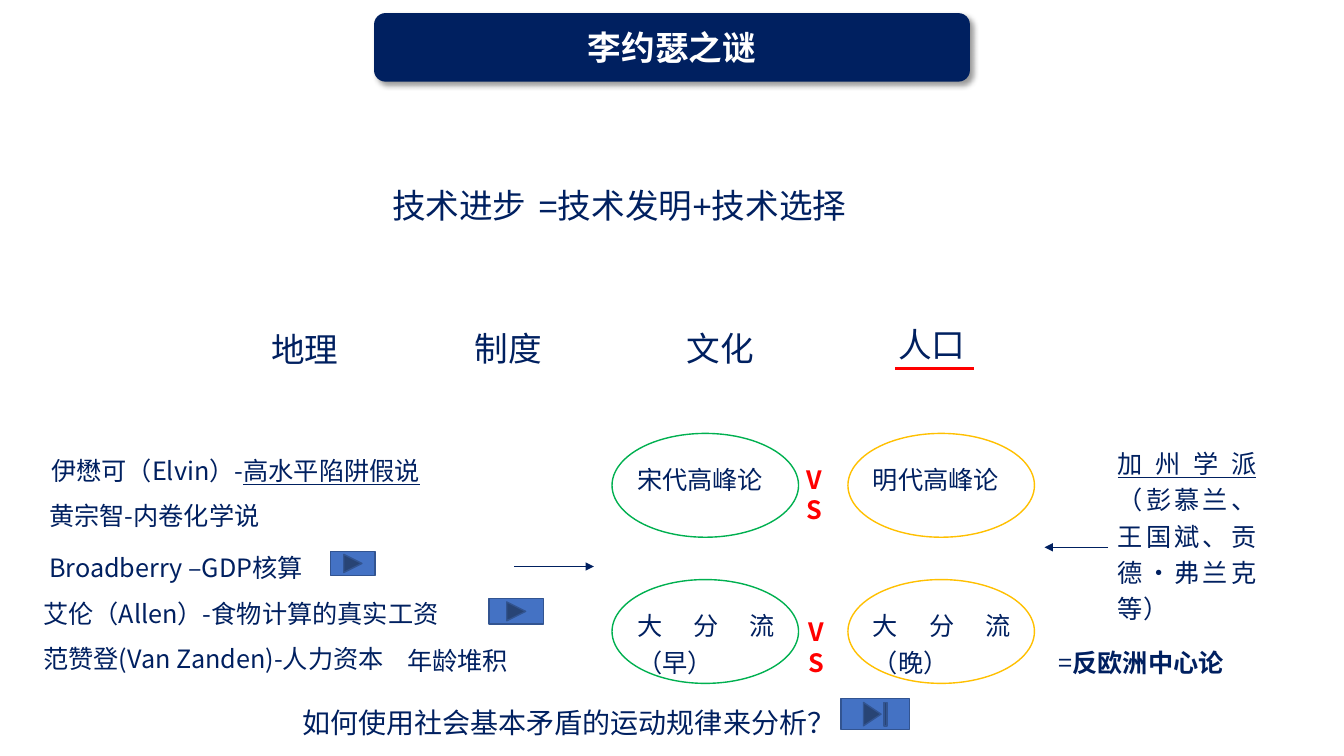
from lxml.etree import SubElement
from pptx import Presentation
from pptx.dml.color import RGBColor
from pptx.enum.shapes import MSO_CONNECTOR, MSO_SHAPE as SHAPE
from pptx.enum.text import MSO_ANCHOR, MSO_AUTO_SIZE, PP_ALIGN as ALIGN
from pptx.oxml.ns import qn
from pptx.util import Inches, Pt

NAVY = RGBColor(0x00, 0x20, 0x60)
WHITE = RGBColor(0xFF, 0xFF, 0xFF)
RED = RGBColor(0xFF, 0x00, 0x00)
GREEN = RGBColor(0x00, 0xB0, 0x50)
GOLD = RGBColor(0xFF, 0xC0, 0x00)
BLUE = RGBColor(0x44, 0x72, 0xC4)
DARK_BLUE = RGBColor(0x32, 0x54, 0x91)
NOTO = "Noto Sans CJK SC"
ARIAL = "Arial"


def add_run(paragraph, text, size, font=NOTO, color=NAVY, bold=False, underline=False):
    run = paragraph.add_run()
    run.text = text
    run.font.size = Pt(size)
    run.font.name = font
    run.font.color.rgb = color
    run.font.bold = bold
    run.font.underline = underline
    east_asian = SubElement(run.font._element, qn("a:ea"))
    east_asian.set("typeface", NOTO)


def add_label(slide, left, top, width, height, *runs, size=18, font=NOTO):
    """Justified text; each run is a text or a (text, style) pair."""
    label = slide.shapes.add_textbox(Inches(left), Inches(top), Inches(width), Inches(height))
    frame = label.text_frame
    frame.word_wrap = True
    frame.auto_size = MSO_AUTO_SIZE.SHAPE_TO_FIT_TEXT
    paragraph = frame.paragraphs[0]
    paragraph.alignment = ALIGN.JUSTIFY
    paragraph.line_spacing = 1.2
    paragraph.space_before = Pt(14)
    for run in runs:
        text, style = (run, {}) if isinstance(run, str) else run
        add_run(paragraph, text, size, font, **style)


def add_figure(slide, kind, left, top, width, height, fill=None, line=None):
    figure = slide.shapes.add_shape(kind, Inches(left), Inches(top), Inches(width), Inches(height))
    figure.shadow.inherit = False
    if fill is None:
        figure.fill.background()
    else:
        figure.fill.solid()
        figure.fill.fore_color.rgb = fill
    if line is None:
        figure.line.fill.background()
    else:
        figure.line.color.rgb = line
        figure.line.width = Pt(1)
    return figure


def add_line(slide, start, end, top, color, width, arrow=False):
    line = slide.shapes.add_connector(
        MSO_CONNECTOR.STRAIGHT, Inches(start), Inches(top), Inches(end), Inches(top))
    line.line.color.rgb = color
    line.line.width = Pt(width)
    if arrow:
        SubElement(line.line._get_or_add_ln(), qn("a:tailEnd"), type="triangle")
    SubElement(line._element.spPr, qn("a:effectLst"))


def add_banner(slide, left, top, width, height):
    banner = add_figure(slide, SHAPE.ROUNDED_RECTANGLE, left, top, width, height, NAVY)
    effects = banner._element.spPr.find(qn("a:effectLst"))
    shadow = SubElement(effects, qn("a:outerShdw"), blurRad=str(Pt(4)), dist=str(Pt(3)),
                        dir=str(45 * 60000), algn="tl", rotWithShape="0")
    shade = SubElement(shadow, qn("a:srgbClr"), val="000000")
    SubElement(shade, qn("a:alpha"), val="40000")
    banner.text_frame.vertical_anchor = MSO_ANCHOR.MIDDLE
    paragraph = banner.text_frame.paragraphs[0]
    paragraph.alignment = ALIGN.CENTER
    add_run(paragraph, "李约瑟之谜", 24, color=WHITE, bold=True)


def add_formula(slide, left, top, width, height):
    for offset, term in ((0, "技术进步"), (1.45, "=技术发明+技术选择")):
        add_label(slide, left + offset, top, width, height, term, size=24, font=ARIAL)


def add_factors(slide, left, top, width, height):
    factors = (("地理", 0, 0.01), ("制度", 2.02, 0), ("文化", 4.12, 0), ("人口", 6.22, -0.04))
    for factor, across, down in factors:
        add_label(slide, left + across, top + down, width, height, factor, size=24, font=ARIAL)
    add_line(slide, left + 6.29, left + 7.07, top + 0.54, RED, 2.25)


def add_scholars(slide, left, top, width, height):
    scholars = (
        (0.08, 0, ("伊懋可（Elvin）-", ("高水平陷阱假说", {"underline": True}))),
        (0.06, 0.44, ("黄宗智-内卷化学说",)),
        (0.06, 0.96, ("Broadberry –GDP核算",)),
        (0, 1.42, ("艾伦（Allen）-食物计算的真实工资",)),
        (0, 1.86, ("范赞登(Van Zanden)-人力资本",)),
        (3.61, 1.88, ("年龄堆积",)),
    )
    for across, down, runs in scholars:
        add_label(slide, left + across, top + down, width, height, *runs)
    for across, down, button_width, button_height in ((2.95, 1.06, 0.44, 0.24),
                                                      (4.52, 1.53, 0.54, 0.25)):
        add_figure(slide, SHAPE.ACTION_BUTTON_FORWARD_OR_NEXT, left + across, top + down,
                   button_width, button_height, BLUE, DARK_BLUE)
    add_line(slide, left + 4.77, left + 5.56, top + 1.21, NAVY, 0.5, arrow=True)


def add_versus(slide, left, top):
    versus = slide.shapes.add_textbox(Inches(left), Inches(top), Inches(0.5), Inches(0.4))
    versus.text_frame.word_wrap = True
    add_run(versus.text_frame.paragraphs[0], "VS", 18, color=RED, bold=True)


def add_debates(slide, left, top, width, height):
    """Two rows of opposing theories, each in an oval of the given size."""
    debates = (("宋代高峰论", "明代高峰论", 1.83, 0.26), ("大分流（早）", "大分流（晚）", 1.85, 0.32))
    for row, (early, late, versus_left, versus_down) in enumerate(debates):
        row_top = top + row * 1.45
        for theory, across, inset, color in ((early, 0, 0.15, GREEN), (late, 2.34, 0.15, GOLD)):
            add_label(slide, left + across + inset, row_top + 0.2, 1.56, 0.43, theory, font=ARIAL)
            add_figure(slide, SHAPE.OVAL, left + across, row_top, width, height, line=color)
        add_versus(slide, left + versus_left, row_top + versus_down)


def add_california_school(slide, left, top, width, height):
    add_label(slide, left, top, width, height,
              ("加州学派", {"underline": True}), "（彭慕兰、王国斌、贡德·弗兰克等）")
    add_line(slide, left, left - 0.63, top + 1.09, NAVY, 0.5, arrow=True)
    add_label(slide, left - 0.59, top + 1.97, 4.4, 0.42, "=", ("反欧洲中心论", {"bold": True}))


def add_question(slide, left, top, width, height):
    add_label(slide, left, top, width, height, "如何使用社会基本矛盾的运动规律来分析？", size=20)
    add_figure(slide, SHAPE.ACTION_BUTTON_END, left + 5.44, top + 0.05, 0.68, 0.31,
               BLUE, DARK_BLUE)


def main():
    deck = Presentation()
    deck.slide_width, deck.slide_height = Inches(13.33), Inches(7.5)
    slide = deck.slides.add_slide(deck.slide_layouts[6])
    add_banner(slide, 3.71, 0.13, 5.91, 0.68)
    add_formula(slide, 3.79, 1.71, 4.88, 0.54)
    add_factors(slide, 2.59, 3.12, 4.88, 0.54)
    add_scholars(slide, 0.33, 4.41, 5.23, 0.43)
    add_debates(slide, 6.07, 4.3, 1.85, 1.03)
    add_california_school(slide, 10.99, 4.34, 1.57, 1.87)
    add_question(slide, 2.9, 6.88, 5.66, 0.47)
    deck.save("out.pptx")


if __name__ == "__main__":
    main()
